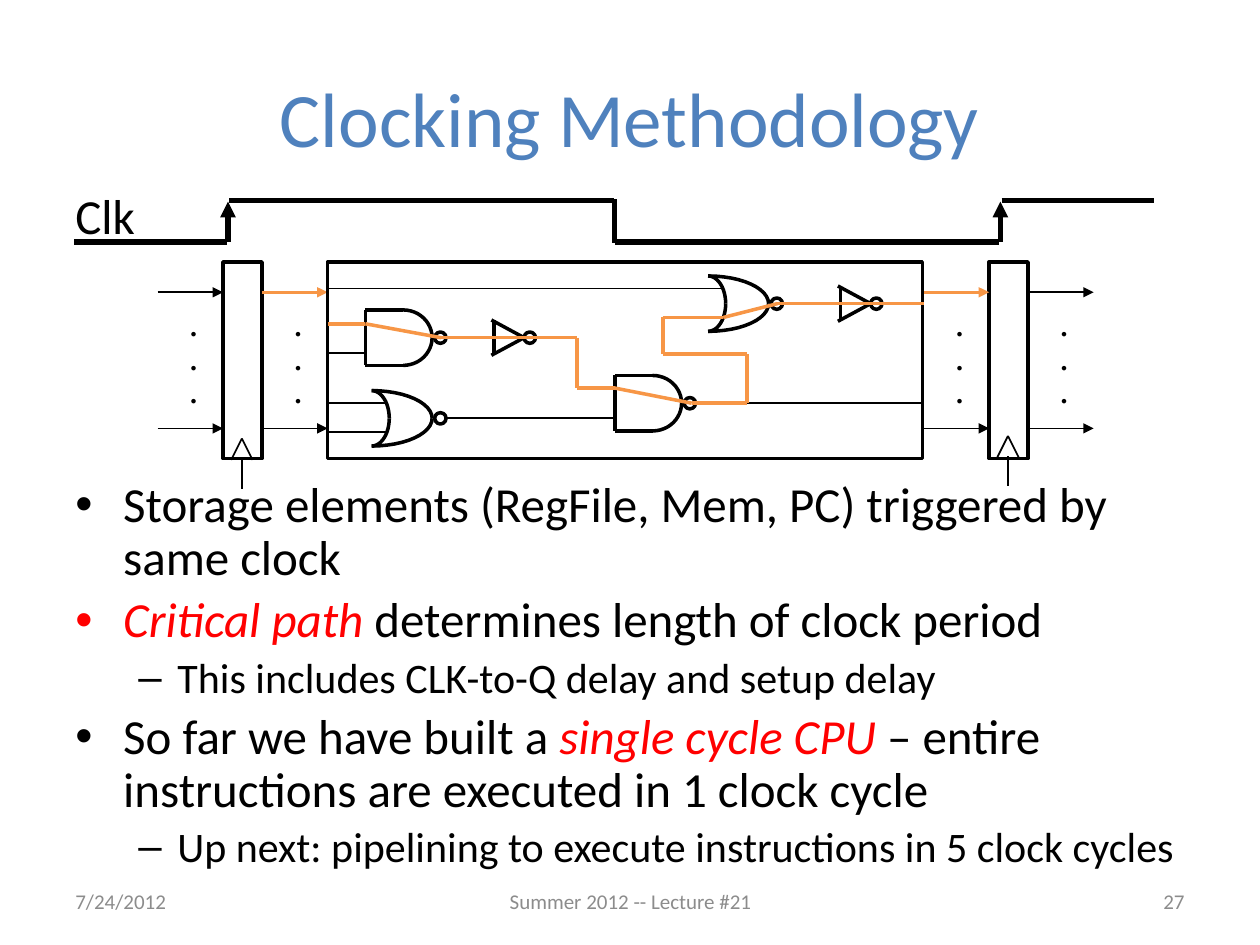
import math

from lxml import etree
from pptx import Presentation
from pptx import util as u
from pptx.dml import color
from pptx.enum import shapes, text
from pptx.oxml import ns

CELL = u.Inches(0.1)
COLORS = {"ink": "000000", "title": "4F81BD", "critical": "F79646",
          "emphasis": "FF0000", "footer": "8C8C8C"}
ALIGN = {"left": text.PP_ALIGN.LEFT, "center": text.PP_ALIGN.CENTER,
         "right": text.PP_ALIGN.RIGHT}
BULLETS = [("•", 28, 0.38, -0.38), ("–", 24, 0.81, -0.31)]


def grid(*values):
    return [round(value * CELL) for value in values]


def rgb(name):
    return color.RGBColor.from_string(COLORS[name])


def add_run(paragraph, content, size, name="ink", font="Calibri", bold=False, italic=False):
    run = paragraph.add_run()
    run.text = content
    run.font.size = u.Pt(size)
    run.font.name = font
    run.font.bold = bold
    run.font.italic = italic
    run.font.color.rgb = rgb(name)


def add_frame(slide, column, row, width, height, wrap=True, middle=False):
    frame = slide.shapes.add_textbox(*grid(column, row, width, height)).text_frame
    frame.word_wrap = wrap
    frame.vertical_anchor = text.MSO_ANCHOR.MIDDLE if middle else text.MSO_ANCHOR.TOP
    return frame


def add_label(slide, box, content, size, name, align="left", middle=True, wrap=True):
    paragraph = add_frame(slide, *box, wrap=wrap, middle=middle).paragraphs[0]
    paragraph.alignment = ALIGN[align]
    add_run(paragraph, content, size, name)


def add_dots(slide, column):
    frame = add_frame(slide, column, 24, 2.5, 9, wrap=False)
    for index in range(3):
        paragraph = frame.add_paragraph() if index else frame.paragraphs[0]
        add_run(paragraph, ".", 16, font="Times New Roman", bold=True)


def add_bullets(slide, items):
    frame = add_frame(slide, 5, 37.6, 90, 33)
    for index, (level, runs) in enumerate(items):
        paragraph = frame.add_paragraph() if index else frame.paragraphs[0]
        mark, size, margin, indent = BULLETS[level]
        paragraph.level = level
        properties = paragraph._p.get_or_add_pPr()
        properties.set("marL", str(u.Inches(margin)))
        properties.set("indent", str(u.Inches(indent)))
        etree.SubElement(properties, ns.qn("a:buFont"), typeface="Arial")
        etree.SubElement(properties, ns.qn("a:buChar"), char=mark)
        paragraph.line_spacing = 0.9
        paragraph.space_before = u.Pt(size * 0.2 if index else 0)
        for content, emphasized in runs:
            add_run(paragraph, content, size, "emphasis" if emphasized else "ink",
                    italic=emphasized)


def add_wire(slide, start, end, name="ink", width=1, arrow=False):
    wire = slide.shapes.add_connector(shapes.MSO_CONNECTOR.STRAIGHT, *grid(*start, *end))
    wire.line.color.rgb = rgb(name)
    wire.line.width = u.Pt(width)
    if arrow:
        etree.SubElement(wire.line._get_or_add_ln(), ns.qn("a:tailEnd"), type="triangle")
    etree.SubElement(wire._element.spPr, ns.qn("a:effectLst"))


def add_route(slide, points, name="ink", width=2):
    for start, end in zip(points, points[1:]):
        add_wire(slide, start, end, name, width)


def outline(shape):
    shape.shadow.inherit = False
    shape.fill.background()
    shape.line.color.rgb = rgb("ink")
    shape.line.width = u.Pt(2)


def add_block(slide, column, width):
    outline(slide.shapes.add_shape(shapes.MSO_SHAPE.RECTANGLE,
                                   *grid(column, 20.8, width, 15.6)))


def add_bubble(slide, column, middle):
    outline(slide.shapes.add_shape(shapes.MSO_SHAPE.OVAL,
                                   *grid(column, middle - 0.45, 0.9, 0.9)))


def add_curve(slide, column, middle, width, half_height):
    for side in (-1, 1):
        points = []
        for step in range(13):
            angle = math.pi / 2 * step / 12
            points.append(grid(column + width * math.sin(angle),
                               middle + side * half_height * math.cos(angle)))
        builder = slide.shapes.build_freeform(*points[0])
        builder.add_line_segments(points[1:], close=False)
        outline(builder.convert_to_shape())


def add_nand(slide, left, middle):
    add_route(slide, [(left + 3, middle - 2.2), (left, middle - 2.2),
                      (left, middle + 2.2), (left + 3, middle + 2.2)])
    add_curve(slide, left + 3, middle, 2.3, 2.2)
    add_bubble(slide, left + 5.5, middle)
    add_wire(slide, (left - 3, middle + 1.2), (left, middle + 1.2))
    add_wire(slide, (left + 6.5, middle), (left + 9.8, middle))


def add_nor(slide, left, middle):
    for width in (4.8, 1.4):
        add_curve(slide, left, middle, width, 2.2)
    add_bubble(slide, left + 5, middle)
    for offset in (-1.2, 1.1):
        add_wire(slide, (left - 3.5, middle + offset), (left + 1.2, middle + offset))
    add_wire(slide, (left + 6, middle), (left + 10, middle))


def add_inverter(slide, left, middle):
    tip = (left + 2.4, middle)
    for side in (-1.4, 1.4):
        add_wire(slide, (left - 0.2, middle + side), tip, width=2)
    add_wire(slide, (left, middle - 1.4), (left, middle + 1.4), width=2)
    add_bubble(slide, left + 2.4, middle)
    add_wire(slide, (left - 3, middle), (left, middle))
    add_wire(slide, (left + 3.3, middle), (left + 6.6, middle))


def add_register(slide, left, clock_row, critical_side):
    add_block(slide, left, 3.1)
    center = left + 1.5
    add_route(slide, [(center - 0.85, clock_row + 1.7), (center, clock_row),
                      (center + 0.85, clock_row + 1.7)], width=1)
    add_wire(slide, (center, clock_row + 1.6), (center, clock_row + 4))
    for side, start in (("input", left - 5.2), ("output", left + 3.1)):
        critical = side == critical_side
        add_wire(slide, (start, 23.2), (start + 5.2, 23.2),
                 "critical" if critical else "ink", 2 if critical else 1, arrow=True)
        add_wire(slide, (start, 34), (start + 5.2, 34), arrow=True)
        add_dots(slide, start + 1.6)


def add_clock(slide):
    high, low = 15.9, 19.2
    for start, end, row in ((5.9, 18, low), (18.2, 48.7, high),
                            (48.8, 79.3, low), (79.5, 91.6, high)):
        add_wire(slide, (start, row), (end, row), width=3)
    for column in (18.1, 79.4):
        add_wire(slide, (column, low), (column, 16), width=3, arrow=True)
    add_wire(slide, (48.8, 15.8), (48.8, 19.3), width=3)
    add_label(slide, (5, 14.2, 6.9, 5.7), "Clk", 28, "ink", middle=False, wrap=False)


def add_logic(slide):
    add_block(slide, 26, 47.2)
    add_nand(slide, 29, 26.8)
    add_nor(slide, 29.5, 33.2)
    add_inverter(slide, 39.2, 26.8)
    add_nand(slide, 48.8, 32)
    add_nor(slide, 56.2, 24.1)
    add_inverter(slide, 66.7, 24.1)
    for start, end, row in ((26, 53, 22.9), (59.2, 73.2, 32), (39.2, 47.2, 33.2)):
        add_wire(slide, (start, row), (end, row))
    add_route(slide, [(26, 25.7), (29, 25.7), (35, 26.8), (45.8, 26.8), (45.8, 30.8),
                      (48.8, 30.8), (54.9, 32), (59.3, 32), (59.3, 28.1), (52.6, 28.1),
                      (52.6, 25.2), (57.4, 25.2), (61.7, 24.1), (73.3, 24.1)], "critical")


def main():
    presentation = Presentation()
    presentation.slide_width, presentation.slide_height = grid(100, 75)
    slide = presentation.slides.add_slide(presentation.slide_layouts[6])
    add_label(slide, (5, 3, 90, 12.5), "Clocking Methodology", 44, "title", "center")
    add_bullets(slide, [
        (0, [("Storage elements (RegFile, Mem, PC) triggered by same clock", False)]),
        (0, [("Critical path", True), (" determines length of clock period", False)]),
        (1, [("This includes CLK-to-Q delay and setup delay", False)]),
        (0, [("So far we have built a ", False), ("single cycle CPU", True),
             (" – entire instructions are executed in 1 clock cycle", False)]),
        (1, [("Up next: pipelining to execute instructions in 5 clock cycles", False)]),
    ])
    add_clock(slide)
    add_register(slide, 17.7, 34.8, "output")
    add_register(slide, 78.5, 34.6, "input")
    add_logic(slide)
    add_label(slide, (5, 69.5, 23.3, 4), "7/24/2012", 12, "footer")
    add_label(slide, (34.2, 69.5, 31.7, 4), "Summer 2012 -- Lecture #21", 12, "footer", "center")
    add_label(slide, (71.7, 69.5, 23.3, 4), "27", 12, "footer", "right")
    presentation.save("out.pptx")


if __name__ == "__main__":
    main()
